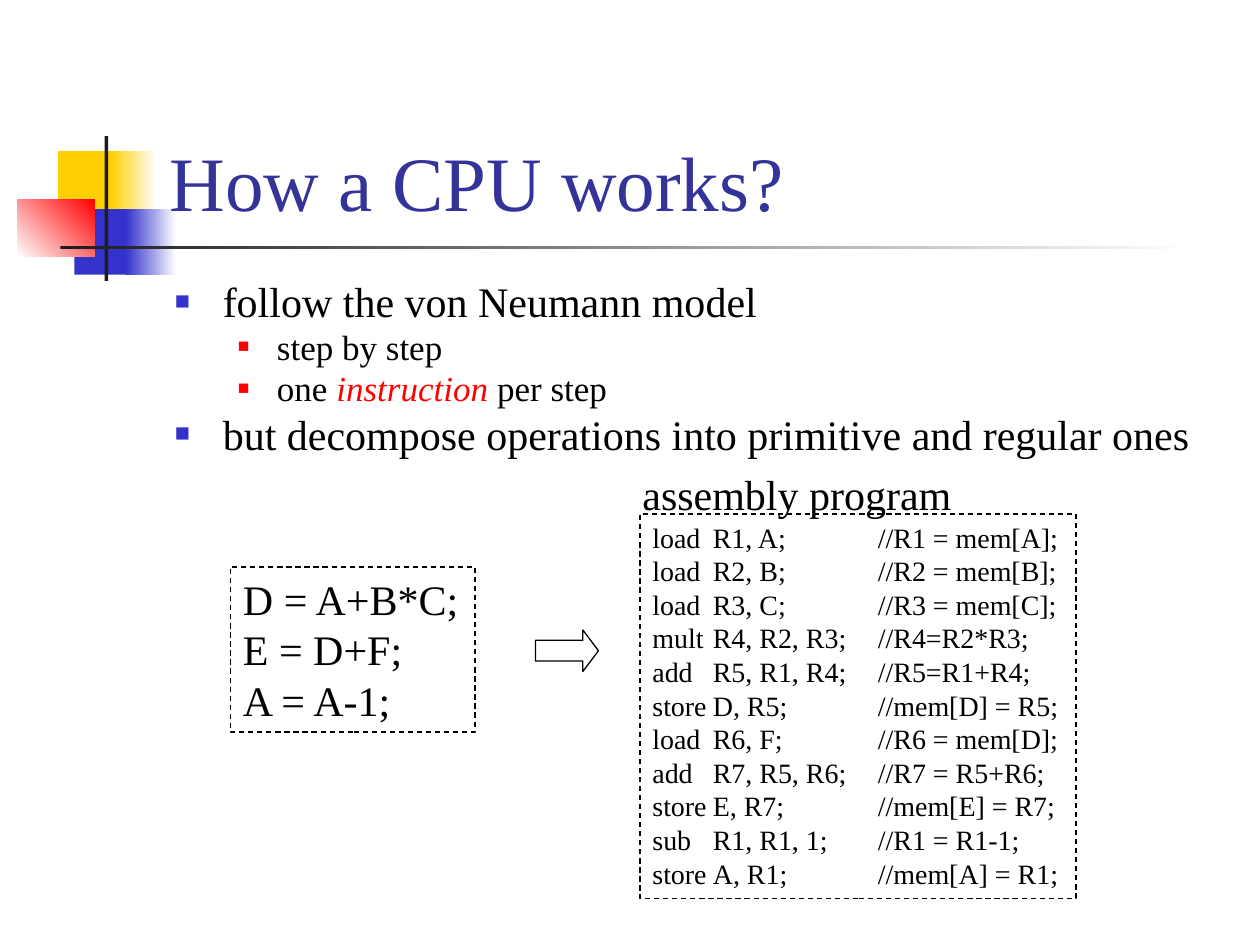
from dataclasses import dataclass
from typing import Optional

import lxml.etree
import pptx
import pptx.dml.color
import pptx.enum.dml
import pptx.enum.shapes
import pptx.enum.text
import pptx.oxml.ns
import pptx.util


@dataclass(frozen=True)
class Theme:
    font: str = "Times New Roman"
    ink: str = "000000"
    paper: str = "FFFFFF"
    heading: str = "333399"
    blue: str = "3333CC"
    yellow: str = "FFCF01"
    red: str = "FF0000"
    bar: str = "1C1C1C"
    title_size: int = 44
    text_size: int = 24
    sub_size: int = 20
    code_size: int = 16
    body_spacing: float = 0.82
    code_spacing: float = 1.2


@dataclass(frozen=True)
class Box:
    left: float
    top: float
    width: float
    height: float

    def emu(self) -> list:
        return [pptx.util.Inches(v) for v in (self.left, self.top, self.width, self.height)]


@dataclass(frozen=True)
class Block:
    box: Box
    start: str
    end: Optional[str] = None
    angle: int = 0


@dataclass(frozen=True)
class Level:
    size: int
    color: str
    bullet_share: int
    margin: float
    hanging: float


@dataclass(frozen=True)
class Point:
    level: int
    pieces: tuple
    emphasis: Optional[int] = None


THEME = Theme()
SHAPES = pptx.enum.shapes.MSO_SHAPE
LEVELS = (
    Level(THEME.text_size, THEME.blue, 60, 0.38, 0.38),
    Level(THEME.sub_size, THEME.red, 55, 0.81, 0.31),
)
BLOCKS = (
    Block(Box(0.46, 1.2, 0.48, 0.52), THEME.yellow),
    Block(Box(0.88, 1.2, 0.36, 0.52), THEME.yellow, THEME.paper),
    Block(Box(0.59, 1.66, 0.46, 0.52), THEME.blue),
    Block(Box(1, 1.66, 0.4, 0.52), THEME.blue, THEME.paper),
    Block(Box(0.14, 1.58, 0.61, 0.46), THEME.paper, THEME.red, 45),
    Block(Box(0.83, 1.08, 0.03, 1.15), THEME.bar),
    Block(Box(0.48, 1.95, 9, 0.03), THEME.bar, THEME.paper),
)
POINTS = (
    Point(0, ("follow the von Neumann model",)),
    Point(1, ("step by step",)),
    Point(1, ("one ", "instruction", " per step"), 1),
    Point(0, ("but decompose operations into primitive and regular ones",)),
)
STATEMENTS = ("D = A+B*C;", "E = D+F;", "A = A-1;")
INSTRUCTIONS = (
    ("load", "R1, A;", "//R1 = mem[A];"),
    ("load", "R2, B;", "//R2 = mem[B];"),
    ("load", "R3, C;", "//R3 = mem[C];"),
    ("mult", "R4, R2, R3;", "//R4=R2*R3;"),
    ("add", "R5, R1, R4;", "//R5=R1+R4;"),
    ("store", "D, R5;", "//mem[D] = R5;"),
    ("load", "R6, F;", "//R6 = mem[D];"),
    ("add", "R7, R5, R6;", "//R7 = R5+R6;"),
    ("store", "E, R7;", "//mem[E] = R7;"),
    ("sub", "R1, R1, 1;", "//R1 = R1-1;"),
    ("store", "A, R1;", "//mem[A] = R1;"),
)
CODE_STOPS = (0.48, 1.79)


def rgb(color: str) -> pptx.dml.color.RGBColor:
    return pptx.dml.color.RGBColor.from_string(color)


def style(run, size: int, color: str = THEME.ink) -> None:
    run.font.name = THEME.font
    run.font.size = pptx.util.Pt(size)
    run.font.color.rgb = rgb(color)


def add_element(parent, tag: str, **attributes: str):
    return lxml.etree.SubElement(parent, pptx.oxml.ns.qn(tag), attributes)


def draw_block(slide, block: Block) -> None:
    shape = slide.shapes.add_shape(SHAPES.RECTANGLE, *block.box.emu())
    shape.shadow.inherit = False
    shape.line.fill.background()
    if block.end is None:
        shape.fill.solid()
        shape.fill.fore_color.rgb = rgb(block.start)
        return
    shape.fill.gradient()
    shape.fill.gradient_angle = block.angle
    for stop, color in zip(shape.fill.gradient_stops, (block.start, block.end)):
        stop.color.rgb = rgb(color)


def draw_outline(slide, kind, box: Box):
    shape = slide.shapes.add_shape(kind, *box.emu())
    shape.shadow.inherit = False
    shape.fill.background()
    shape.line.color.rgb = rgb(THEME.ink)
    shape.line.width = pptx.util.Pt(0.75)
    return shape


def draw_label(slide, box: Box, text: str, size: int, color: str, anchor) -> None:
    frame = slide.shapes.add_textbox(*box.emu()).text_frame
    frame.word_wrap = True
    frame.vertical_anchor = anchor
    frame.text = text
    style(frame.paragraphs[0].runs[0], size, color)


def format_point(paragraph, level: Level) -> None:
    paragraph.line_spacing = THEME.body_spacing
    paragraph.space_before = pptx.util.Pt(level.size * 0.2)
    properties = paragraph._p.get_or_add_pPr()
    properties.set("marL", str(pptx.util.Inches(level.margin)))
    properties.set("indent", str(-pptx.util.Inches(level.hanging)))
    add_element(add_element(properties, "a:buClr"), "a:srgbClr", val=level.color)
    add_element(properties, "a:buSzPct", val=str(level.bullet_share * 1000))
    add_element(properties, "a:buFont", typeface=THEME.font)
    add_element(properties, "a:buChar", char="■")


def draw_points(slide, box: Box) -> None:
    frame = slide.shapes.add_textbox(*box.emu()).text_frame
    frame.word_wrap = True
    for index, point in enumerate(POINTS):
        paragraph = frame.paragraphs[0] if index == 0 else frame.add_paragraph()
        paragraph.level = point.level
        level = LEVELS[point.level]
        format_point(paragraph, level)
        for position, piece in enumerate(point.pieces):
            run = paragraph.add_run()
            run.text = piece
            emphasized = position == point.emphasis
            style(run, level.size, THEME.red if emphasized else THEME.ink)
            if emphasized:
                run.font.italic = True


def draw_code(slide, box: Box, lines: list, size: int, stops: tuple = ()) -> None:
    shape = draw_outline(slide, SHAPES.RECTANGLE, box)
    shape.line.dash_style = pptx.enum.dml.MSO_LINE.DASH
    frame = shape.text_frame
    frame.word_wrap = True
    frame.margin_right = 0
    frame.vertical_anchor = pptx.enum.text.MSO_ANCHOR.TOP
    frame.text = "\n".join(lines)
    for paragraph in frame.paragraphs:
        paragraph.alignment = pptx.enum.text.PP_ALIGN.LEFT
        paragraph.line_spacing = pptx.util.Pt(size * THEME.code_spacing)
        style(paragraph.runs[0], size)
        if stops:
            tabs = add_element(paragraph._p.get_or_add_pPr(), "a:tabLst")
            for stop in stops:
                add_element(tabs, "a:tab", pos=str(pptx.util.Inches(stop)), algn="l")


def build() -> None:
    deck = pptx.Presentation()
    deck.slide_width = pptx.util.Inches(10)
    deck.slide_height = pptx.util.Inches(7.5)
    slide = deck.slides.add_slide(deck.slide_layouts[6])
    anchors = pptx.enum.text.MSO_ANCHOR

    for block in BLOCKS:
        draw_block(slide, block)
    draw_label(slide, Box(1.25, 0.25, 8.52, 1.6), "How a CPU works?",
               THEME.title_size, THEME.heading, anchors.BOTTOM)
    draw_points(slide, Box(1.29, 2.21, 8.46, 1.54))
    draw_code(slide, Box(1.83, 4.5, 1.94, 1.31), list(STATEMENTS), THEME.text_size)
    draw_code(slide, Box(5.08, 4.08, 3.46, 3.05),
              ["\t".join(parts) for parts in INSTRUCTIONS], THEME.code_size, CODE_STOPS)
    draw_label(slide, Box(5, 3.67, 2.65, 0.5), "assembly program",
               THEME.text_size, THEME.ink, anchors.TOP)
    arrow = draw_outline(slide, SHAPES.RIGHT_ARROW, Box(4.25, 5, 0.5, 0.33))
    arrow.adjustments[0] = 0.5
    arrow.adjustments[1] = 0.375
    deck.save("out.pptx")


build()
